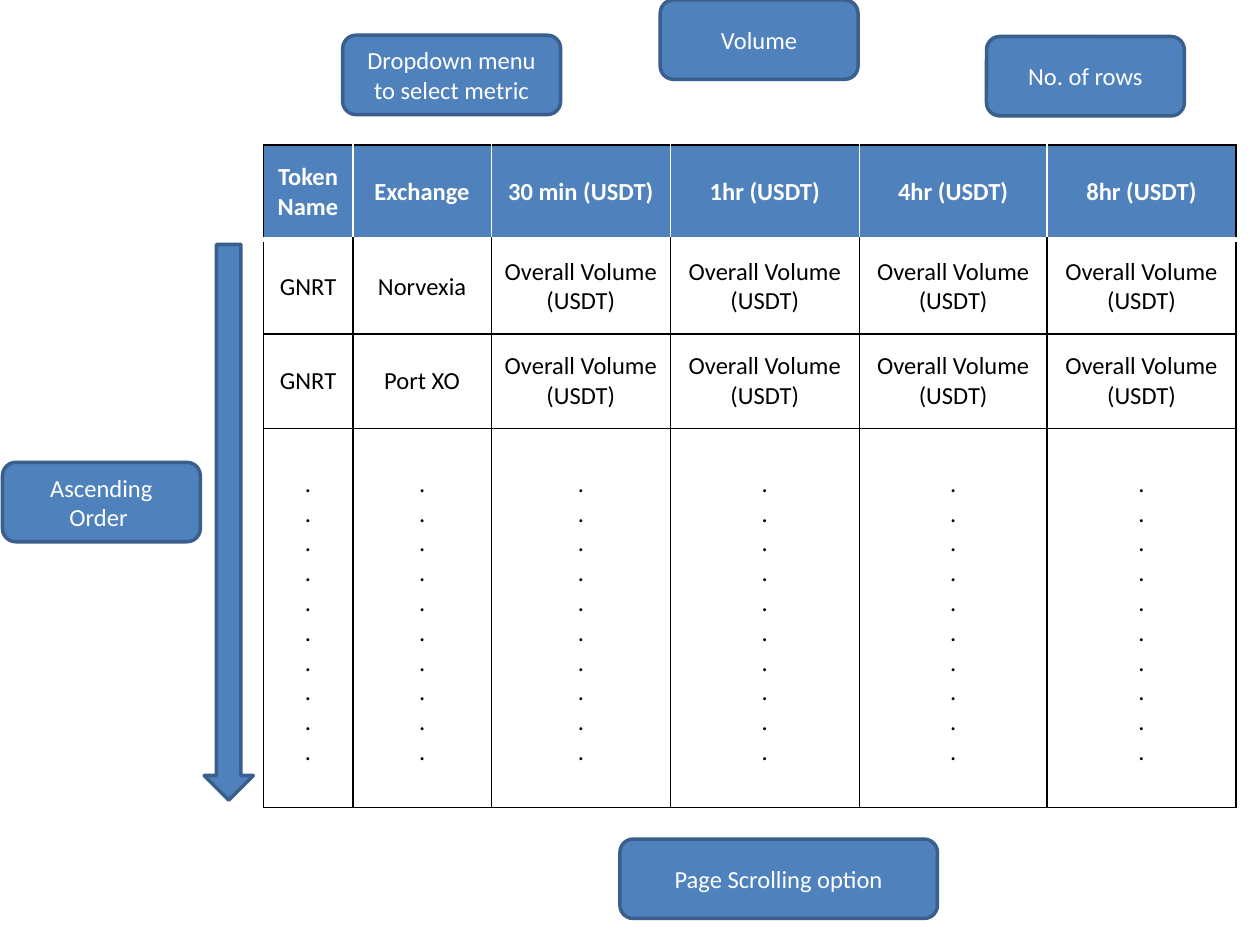
from dataclasses import dataclass

from lxml.etree import SubElement
from pptx import Presentation
from pptx.dml.color import RGBColor
from pptx.enum.shapes import MSO_SHAPE as Preset
from pptx.enum.text import MSO_ANCHOR as Anchor, PP_ALIGN as Align
from pptx.oxml.ns import qn
from pptx.slide import Slide
from pptx.util import Inches, Pt

BLUE = RGBColor(0x4F, 0x81, 0xBD)
DARK_BLUE = RGBColor(0x3A, 0x5F, 0x8C)
WHITE = RGBColor(0xFF, 0xFF, 0xFF)
BLACK = RGBColor(0x00, 0x00, 0x00)

BOX_HEIGHT = 0.63
BOXES = [
    ("Volume", 5.24, 0, 1.57),
    ("No. of rows", 7.83, 0.29, 1.57),
    ("Page Scrolling option", 4.92, 6.66, 2.52),
    ("Ascending Order ", 0.02, 3.67, 1.57),
    ("Dropdown menu to select metric", 2.72, 0.28, 1.73),
]

PERIODS = ["30 min", "1hr", "4hr", "8hr"]
VOLUMES = ["Overall Volume (USDT)"] * len(PERIODS)
COLUMN_WIDTHS = [0.71, 1.1, 1.42, 1.5, 1.49, 1.5]
ROW_HEIGHTS = [0.75, 0.75, 0.75, 3.01]
ROWS = [
    ["Token Name", "Exchange"] + [f"{period} (USDT)" for period in PERIODS],
    ["GNRT", "Norvexia"] + VOLUMES,
    ["GNRT", "Port XO"] + VOLUMES,
    ["\n".join("." * 10)] * len(COLUMN_WIDTHS),
]


@dataclass
class SlideBuilder:
    slide: Slide
    font: str = "Calibri"
    size: int = 14

    def add_text(self, frame, text, color, bold=False):
        frame.word_wrap = True
        for index, line in enumerate(text.split("\n")):
            paragraph = frame.add_paragraph() if index else frame.paragraphs[0]
            paragraph.alignment = Align.CENTER
            run = paragraph.add_run()
            run.text = line
            run.font.name = self.font
            run.font.size = Pt(self.size)
            run.font.bold = bold
            run.font.color.rgb = color

    def add_shape(self, preset, left, top, width, height, text=""):
        shape = self.slide.shapes.add_shape(
            preset, Inches(left), Inches(top), Inches(width), Inches(height))
        shape.shadow.inherit = False
        shape.fill.solid()
        shape.fill.fore_color.rgb = BLUE
        shape.line.color.rgb = DARK_BLUE
        shape.line.width = Pt(2)
        if text:
            shape.text_frame.vertical_anchor = Anchor.MIDDLE
            self.add_text(shape.text_frame, text, WHITE)

    def add_borders(self, cell, edges):
        properties = cell._tc.get_or_add_tcPr()
        for index, (side, color, width) in enumerate(edges):
            line = SubElement(properties, qn(f"a:ln{side}"), w=str(Pt(width)))
            fill = SubElement(line, qn("a:solidFill"))
            SubElement(fill, qn("a:srgbClr"), val=str(color))
            properties.insert(index, line)

    def add_table(self, left, top, rows, widths, heights):
        table = self.slide.shapes.add_table(
            len(rows), len(widths), Inches(left), Inches(top),
            Inches(sum(widths)), Inches(sum(heights))).table
        table.horz_banding = False
        for column, width in zip(table.columns, widths):
            column.width = Inches(width)
        for row, height in zip(table.rows, heights):
            row.height = Inches(height)
        last = len(widths) - 1
        for row_index, texts in enumerate(rows):
            header = row_index == 0
            inner = WHITE if header else BLACK
            top_edge = ("T", WHITE, 3) if row_index == 1 else ("T", BLACK, 1)
            for column_index, text in enumerate(texts):
                cell = table.cell(row_index, column_index)
                cell.vertical_anchor = Anchor.MIDDLE
                if header:
                    cell.fill.solid()
                    cell.fill.fore_color.rgb = BLUE
                else:
                    cell.fill.background()
                self.add_text(cell.text_frame, text, inner, header)
                self.add_borders(cell, [
                    ("L", inner if column_index else BLACK, 1),
                    ("R", inner if column_index < last else BLACK, 1),
                    top_edge,
                    ("B", inner, 3 if header else 1),
                ])


def main():
    presentation = Presentation()
    presentation.slide_width = Inches(10)
    presentation.slide_height = Inches(7.5)
    builder = SlideBuilder(presentation.slides.add_slide(presentation.slide_layouts[6]))
    builder.add_table(2.09, 1.15, ROWS, COLUMN_WIDTHS, ROW_HEIGHTS)
    builder.add_shape(Preset.DOWN_ARROW, 1.62, 1.94, 0.39, 4.41)
    for text, left, top, width in BOXES:
        builder.add_shape(Preset.ROUNDED_RECTANGLE, left, top, width, BOX_HEIGHT, text)
    presentation.save("out.pptx")


if __name__ == "__main__":
    main()
